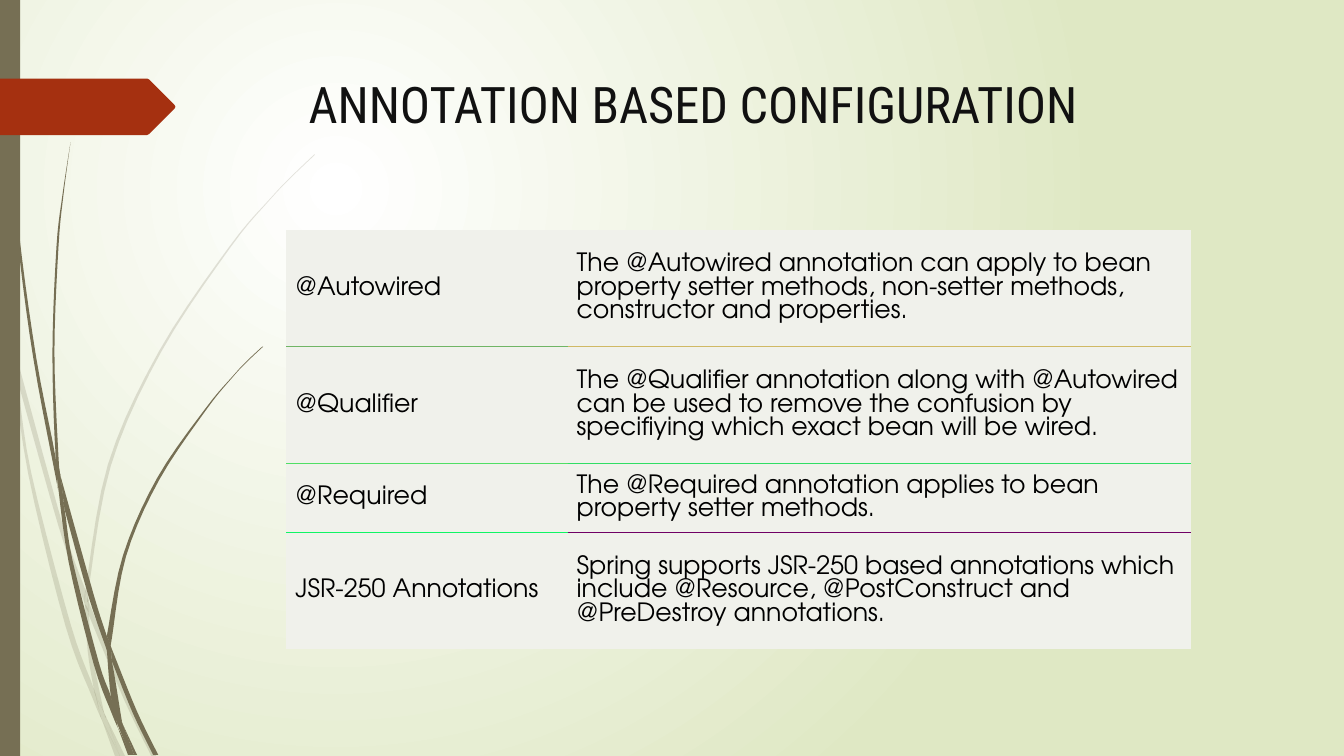
from lxml import etree
from pptx import Presentation
from pptx.dml.color import RGBColor as RGB
from pptx.enum.shapes import MSO_SHAPE as Shape
from pptx.enum.text import MSO_ANCHOR as Anchor
from pptx.oxml.ns import qn
from pptx.util import Inches, Pt

HUES = {"glow": "FFFFFF", "mist": "DFE8C4", "bark": "766F54", "rust": "A53010",
        "title": "111111", "text": "000000", "cell": "F0F1EB"}
HEAD, BODY = "Roboto Condensed", "TeX Gyre Adventor"
PLAIN = "{2D5ABB26-0587-4C30-8999-92F81FD0307C}"

# Each blade of grass is a pair of edges, top to bottom
PALE = [
    ([(0, 2.82), (.09, 3.22), (.11, 3.5)], [(0, 2.99), (.1, 3.44), (.11, 3.5)]),
    ([(.17, 3.76), (.58, 5.22), (.84, 5.99)], [(.14, 3.45), (.62, 5.2), (.85, 5.86)]),
    ([(.88, 6.1), (1.23, 6.94), (1.5, 7.5)],
     [(.88, 5.96), (.92, 6.07), (1.27, 6.92), (1.55, 7.5)]),
    ([(1.05, 7.11), (1.19, 7.5)], [(1.05, 7.11), (1.24, 7.5)]),
    ([(.11, 3.5), (.28, 4.7), (.65, 6.21), (.92, 6.93), (1.01, 7.14)],
     [(.11, 3.5), (.17, 3.76), (.31, 4.69), (.7, 6.19), (.93, 6.83), (.99, 7.07), (1.01, 7.14)]),
    ([(.84, 5.99), (.87, 6.46), (.93, 6.83), (.96, 6.92), (1.05, 7.11)],
     [(.84, 5.99), (.88, 6.08), (.91, 6.46), (1.03, 7.06), (1.05, 7.11)]),
    ([(3.12, 1.53), (2.89, 1.75), (2.68, 1.97), (2.28, 2.44), (1.58, 3.48), (1.07, 4.61),
      (.85, 5.84), (.85, 5.86)],
     [(3.12, 1.54), (2.9, 1.75), (2.68, 1.98), (2.29, 2.45), (1.6, 3.49), (1.1, 4.62),
      (.88, 5.84), (.88, 5.96)]),
    ([(1.01, 7.14), (1.14, 7.5)], [(1.01, 7.14), (1.19, 7.5)]),
    ([(.85, 5.86), (.84, 5.99), (.88, 6.08)], [(.85, 5.86), (.88, 5.96), (.88, 6.1)]),
    ([(.93, 6.83), (.99, 7.07), (1.01, 7.14), (1.19, 7.5)],
     [(.93, 6.83), (.96, 6.92), (1.05, 7.11), (1.19, 7.5)]),
]
DARK = [
    ([(.03, 0), (.04, .48), (.07, 1.1), (.17, 2.33), (.33, 3.55), (.56, 4.77), (.57, 4.81)],
     [(.04, 0), (.05, .48), (.08, 1.09), (.19, 2.32), (.36, 3.55), (.55, 4.53), (.57, 4.81)]),
    ([(.64, 5.05), (.88, 5.92), (1.06, 6.45)], [(.6, 4.72), (.93, 5.9), (1.06, 6.31)]),
    ([(1.11, 6.56), (1.32, 7.08), (1.52, 7.49)],
     [(1.1, 6.41), (1.13, 6.49), (1.36, 7.06), (1.57, 7.49)]),
    ([(.57, 4.77), (.68, 5.57), (.93, 6.59), (1.11, 7.08), (1.17, 7.22)],
     [(.57, 4.77), (.64, 5.05), (.72, 5.56), (.98, 6.57), (1.1, 6.91), (1.17, 7.22)]),
    ([(.7, 1.41), (.62, 1.93), (.56, 2.45), (.52, 3.49), (.55, 4.49), (.6, 4.72)],
     [(.7, 1.41), (.63, 1.93), (.58, 2.45), (.54, 3.49), (.58, 4.53), (.6, 4.72)]),
    ([(1.22, 7.19), (1.33, 7.49)], [(1.22, 7.19), (1.36, 7.49)]),
    ([(.55, 4.49), (.57, 4.77), (.64, 5.05)], [(.55, 4.49), (.6, 4.72), (.64, 5.05)]),
    ([(2.6, 3.44), (2.45, 3.58), (2.31, 3.73), (2.04, 4.05), (1.56, 4.74), (1.22, 5.51),
      (1.06, 6.31)],
     [(2.61, 3.44), (2.45, 3.59), (2.31, 3.74), (2.05, 4.06), (1.58, 4.76), (1.25, 5.52),
      (1.11, 6.33), (1.1, 6.41)]),
    ([(1.17, 7.22), (1.27, 7.49)], [(1.17, 7.22), (1.31, 7.49)]),
    ([(1.06, 6.45), (1.1, 6.91), (1.16, 7.06), (1.22, 7.19)],
     [(1.06, 6.45), (1.11, 6.56), (1.21, 7.16), (1.22, 7.19)]),
    ([(1.06, 6.31), (1.06, 6.45), (1.11, 6.56)], [(1.06, 6.31), (1.1, 6.41), (1.11, 6.56)]),
    ([(1.1, 6.91), (1.16, 7.17), (1.3, 7.49)], [(1.1, 6.91), (1.22, 7.19), (1.33, 7.49)]),
]
ROWS = [
    ("@Autowired", "The @Autowired annotation can apply to bean property setter methods, "
     "non-setter methods, constructor and properties."),
    ("@Qualifier", "The @Qualifier annotation along with @Autowired can be used to remove "
     "the confusion by specifiying which exact bean will be wired."),
    ("@Required", "The @Required annotation applies to bean property setter methods."),
    ("JSR-250 Annotations", "Spring supports JSR-250 based annotations which include "
     "@Resource, @PostConstruct and @PreDestroy annotations."),
]
# Rules between the rows, left and right column
RULES = [("70B565", "D0B965"), ("50DF64", "30DE64"), ("10F564", "700065")]


def hue(name):
    return RGB.from_string(HUES[name])


def paint(shape, name, alpha=None):
    shape.shadow.inherit = False
    shape.fill.solid()
    shape.fill.fore_color.rgb = hue(name)
    shape.line.fill.background()
    if alpha:
        tone = shape._element.spPr.find(".//" + qn("a:srgbClr"))
        etree.SubElement(tone, qn("a:alpha")).set("val", str(alpha * 1000))


def style(para, font, size, name):
    for run in para.runs:
        run.font.name, run.font.size = font, Pt(size)
        run.font.color.rgb = hue(name)


def smooth(pts, steps=5):
    """Catmull-Rom curve through the points."""
    ends = [pts[0], *pts, pts[-1]]
    out = [pts[0]]
    for a, b, c, d in zip(ends, ends[1:], ends[2:], ends[3:]):
        for i in range(1, steps + 1):
            t = i / steps
            out.append(tuple(
                q + t / 2 * (r - p + t * (2 * p - 5 * q + 4 * r - s + t * (3 * (q - r) + s - p)))
                for p, q, r, s in zip(a, b, c, d)))
    return out


def outline(shapes, x, y, pts):
    spots = [(Inches(x + px), Inches(y + py)) for px, py in pts]
    form = shapes.build_freeform(*spots[0])
    form.add_line_segments(spots[1:], close=True)
    return form.convert_to_shape()


def backdrop(slide):
    fill = slide.background.fill
    fill.gradient()
    for stop, name in zip(fill.gradient_stops, ("glow", "mist")):
        stop.color.rgb = hue(name)
    grad = slide.background._cSld.find(".//" + qn("a:gradFill"))
    grad.remove(grad.find(qn("a:lin")))
    ring = etree.SubElement(grad, qn("a:path"), path="circle")
    etree.SubElement(ring, qn("a:fillToRect"), l="50000", t="50000", r="100000", b="100000")


def grass(slide, x, y, blades, alpha=None):
    group = slide.shapes.add_group_shape()
    for left, right in blades:
        blade = outline(group.shapes, x, y, smooth(left) + smooth(right)[::-1])
        paint(blade, "bark", alpha)


def margin(slide, x, y, w, h):
    bar = slide.shapes.add_shape(Shape.RECTANGLE, Inches(x), Inches(y), Inches(w), Inches(h))
    paint(bar, "bark")


def marker(slide, x, y, w, h):
    tip, mid = w - .26, h / 2
    pts = [(0, 0), (tip - .02, 0), (tip, .01), (w - .01, mid - .02), (w, mid),
           (w - .01, mid + .02), (tip, h - .01), (tip - .02, h), (0, h)]
    paint(outline(slide.shapes, x, y, pts), "rust")


def heading(slide, x, y, w, h):
    box = slide.shapes.add_textbox(Inches(x), Inches(y), Inches(w), Inches(h))
    frame = box.text_frame
    frame.word_wrap = True
    frame.margin_left = Inches(.22)
    frame.text = "ANNOTATION BASED CONFIGURATION"
    style(frame.paragraphs[0], HEAD, 36, "title")


def rule(cell, side, tone):
    line = etree.SubElement(cell._tc.get_or_add_tcPr(), qn("a:" + side), w=str(Pt(.75)))
    fill = etree.SubElement(line, qn("a:solidFill"))
    etree.SubElement(fill, qn("a:srgbClr"), val=tone)


def grid(slide, x, y, cols, highs):
    frame = slide.shapes.add_table(len(highs), len(cols), Inches(x), Inches(y),
                                   Inches(sum(cols)), Inches(sum(highs)))
    table = frame.table
    table.first_row = table.horz_banding = False
    table._tbl.tblPr.find(qn("a:tableStyleId")).text = PLAIN
    for col, wide in zip(table.columns, cols):
        col.width = Inches(wide)
    for r, high in enumerate(highs):
        table.rows[r].height = Inches(high)
        for c, text in enumerate(ROWS[r]):
            cell = table.cell(r, c)
            if r > 0:
                rule(cell, "lnT", RULES[r - 1][c])
            if r < len(RULES):
                rule(cell, "lnB", RULES[r][c])
            cell.fill.solid()
            cell.fill.fore_color.rgb = hue("cell")
            cell.vertical_anchor = Anchor.MIDDLE
            cell.margin_left = cell.margin_right = Inches(.09)
            cell.margin_top = cell.margin_bottom = Inches(.04)
            cell.text = text
            style(cell.text_frame.paragraphs[0], BODY, 18, "text")


def main():
    deck = Presentation()
    deck.slide_width, deck.slide_height = Inches(13.33), Inches(7.5)
    slide = deck.slides.add_slide(deck.slide_layouts[6])
    backdrop(slide)
    grass(slide, 0, 0, PALE, 20)
    grass(slide, 0, 0, DARK)
    margin(slide, 0, 0, .2, 7.5)
    marker(slide, 0, .78, 1.74, .56)
    heading(slide, 2.84, .68, 9.75, 1.4)
    grid(slide, 2.84, 2.28, (2.79, 6.18), (1.16, 1.16, .63, 1.16))
    deck.save("out.pptx")


if __name__ == "__main__":
    main()
